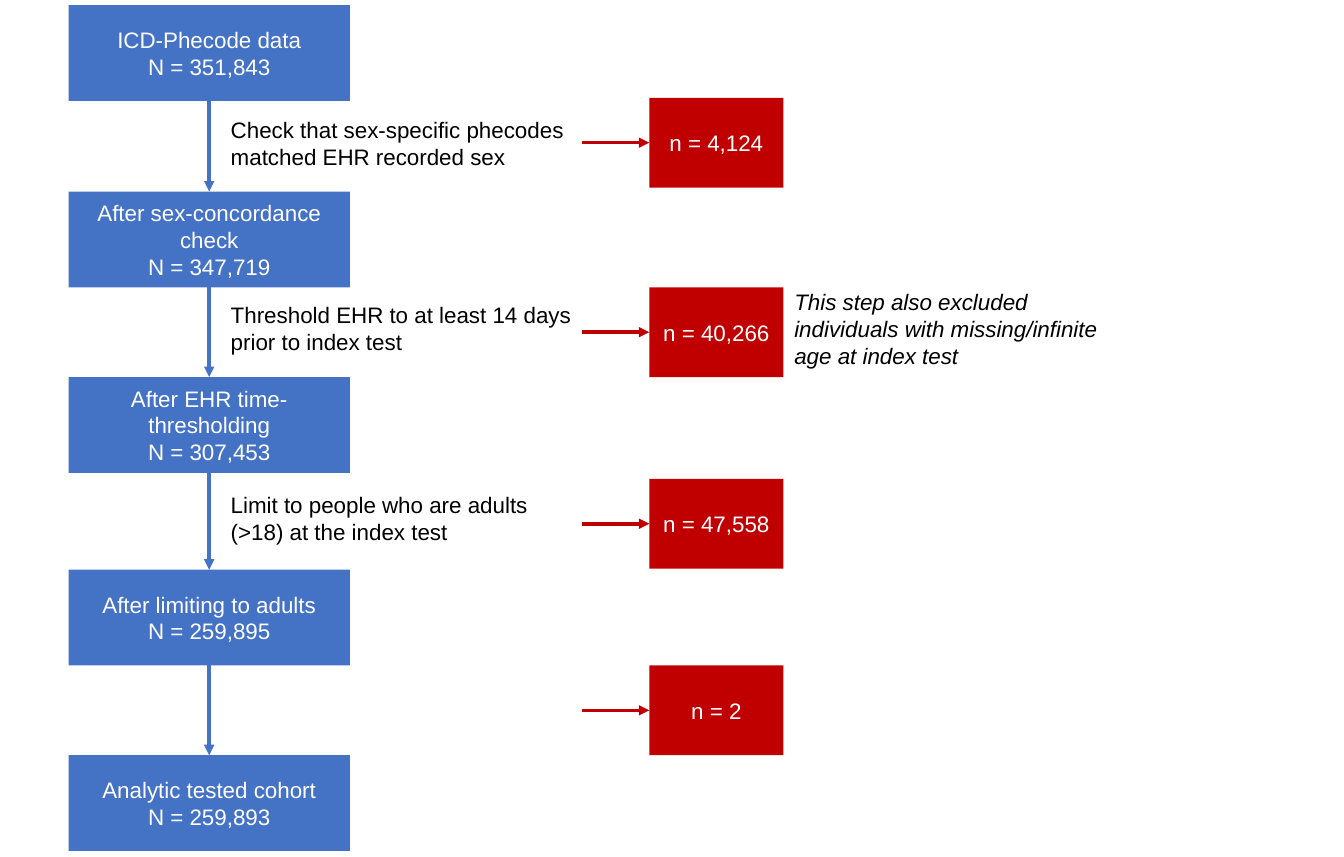
"""Cohort selection flowchart with the exclusions made at each step."""
from pptx import Presentation
from pptx.dml.color import RGBColor
from pptx.enum import shapes as kinds, text as t
from pptx.oxml.ns import qn
from pptx.util import Inches, Pt
from lxml import etree

THEME = {
    "font": "Arial", "size": Pt(16), "arrow": Pt(2.5),
    "stage": RGBColor.from_string("4472C4"),
    "excluded": RGBColor.from_string("C00000"),
    "on_fill": RGBColor.from_string("FFFFFF"),
    "body": RGBColor.from_string("000000"),
}
STAGES = [
    (0.05, "ICD-Phecode data", "N = 351,843"),
    (1.9, "After sex-concordance check", "N = 347,719"),
    (3.74, "After EHR time-thresholding", "N = 307,453"),
    (5.65, "After limiting to adults", "N = 259,895"),
    (7.49, "Analytic tested cohort", "N = 259,893"),
]
CRITERIA = [
    (1.1, "Check that sex-specific phecodes matched EHR recorded sex"),
    (2.94, "Threshold EHR to at least 14 days prior to index test"),
    (4.82, "Limit to people who are adults (>18) at the index test"),
]
EXCLUSIONS = [(0.97, "n = 4,124"), (2.85, "n = 40,266"), (4.75, "n = 47,558"), (6.6, "n = 2")]
REMARK = "This step also excluded individuals with missing/infinite age at index test"

STAGE_LEFT, STAGE_WIDTH, STAGE_HEIGHT = 0.68, 2.79, 0.95
CRITERION_LEFT, CRITERION_WIDTH, CRITERION_HEIGHT = 2.19, 3.58, 0.64
EXCLUDED_LEFT, EXCLUDED_WIDTH, EXCLUDED_HEIGHT = 6.44, 1.33, 0.89
REMARK_AREA = (7.78, 2.81, 3.27, 0.91)


def write(holder, lines, color, align, italic=None):
    frame = holder.text_frame
    frame.word_wrap = True
    frame.text = "\n".join(lines)
    style = {"name": THEME["font"], "size": THEME["size"], "italic": italic}
    for paragraph in frame.paragraphs:
        paragraph.alignment = align
        for key, value in style.items():
            setattr(paragraph.font, key, value)
        paragraph.font.color.rgb = color


def add_box(slide, area, lines, fill):
    box = slide.shapes.add_shape(kinds.MSO_SHAPE.RECTANGLE, *map(Inches, area))
    box.shadow.inherit = False
    box.fill.solid()
    box.fill.fore_color.rgb = fill
    box.line.fill.background()
    box.text_frame.vertical_anchor = t.MSO_ANCHOR.MIDDLE
    write(box, lines, THEME["on_fill"], t.PP_ALIGN.CENTER)
    return box


def add_label(slide, area, words, italic=None):
    label = slide.shapes.add_textbox(*map(Inches, area))
    write(label, [words], THEME["body"], t.PP_ALIGN.LEFT, italic)
    label.text_frame.auto_size = t.MSO_AUTO_SIZE.SHAPE_TO_FIT_TEXT


def add_arrow(slide, start, target, side, color):
    arrow = slide.shapes.add_connector(kinds.MSO_CONNECTOR.STRAIGHT, *start, *start)
    arrow.end_connect(target, side)
    arrow.line.color.rgb = color
    arrow.line.width = THEME["arrow"]
    etree.SubElement(arrow.line._get_or_add_ln(), qn("a:tailEnd"), type="triangle")
    etree.SubElement(arrow._element.spPr, qn("a:effectLst"))
    return arrow


def main():
    deck = Presentation()
    deck.slide_width, deck.slide_height = Inches(13.33), Inches(8.5)
    slide = deck.slides.add_slide(deck.slide_layouts[6])

    stages = [add_box(slide, (STAGE_LEFT, top, STAGE_WIDTH, STAGE_HEIGHT), lines, THEME["stage"])
              for top, *lines in STAGES]
    for before, after in zip(stages, stages[1:]):
        start = (before.left + before.width // 2, before.top + before.height)
        add_arrow(slide, start, after, 0, THEME["stage"]).begin_connect(before, 2)

    for top, criterion in CRITERIA:
        add_label(slide, (CRITERION_LEFT, top, CRITERION_WIDTH, CRITERION_HEIGHT), criterion)

    for top, count in EXCLUSIONS:
        excluded = add_box(slide, (EXCLUDED_LEFT, top, EXCLUDED_WIDTH, EXCLUDED_HEIGHT),
                           [count], THEME["excluded"])
        start = (Inches(CRITERION_LEFT + CRITERION_WIDTH), excluded.top + excluded.height // 2)
        add_arrow(slide, start, excluded, 1, THEME["excluded"])

    add_label(slide, REMARK_AREA, REMARK, italic=True)
    deck.save("out.pptx")


if __name__ == "__main__":
    main()
